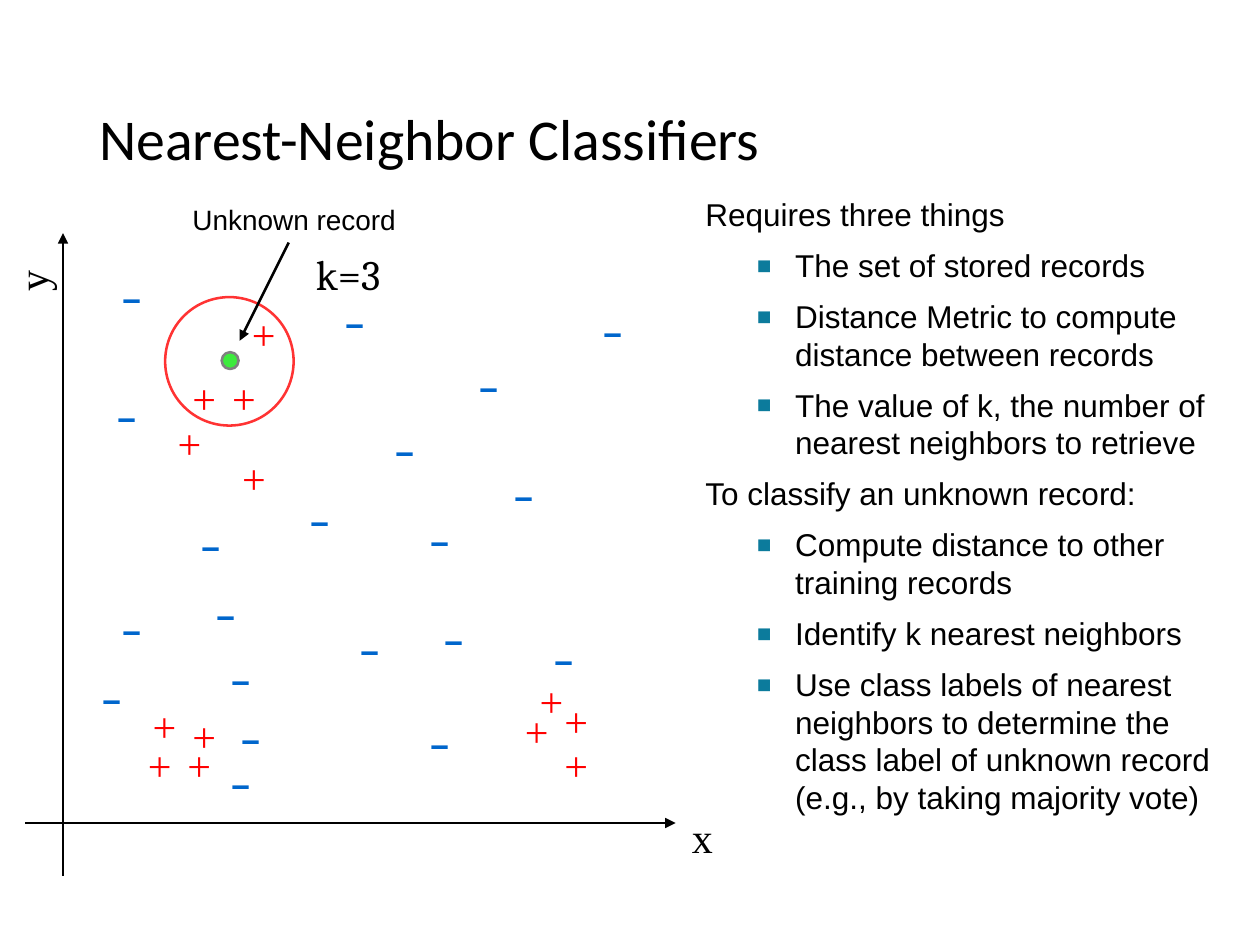
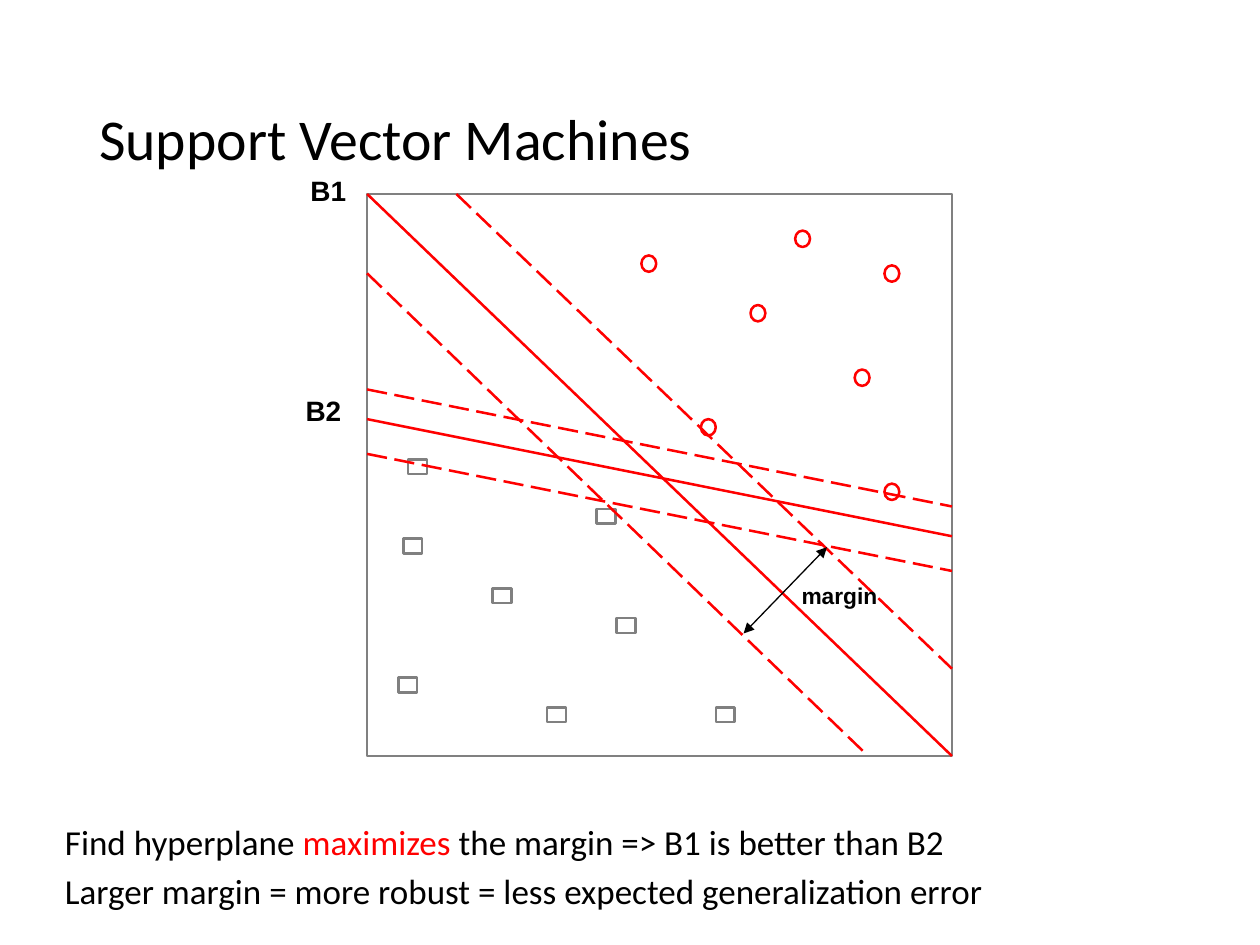
from lxml import etree
from pptx import Presentation
from pptx.dml.color import RGBColor
from pptx.enum.dml import MSO_LINE
from pptx.enum.shapes import MSO_CONNECTOR, MSO_SHAPE
from pptx.enum.text import MSO_ANCHOR
from pptx.oxml.ns import qn
from pptx.util import Cm, Pt

COLORS = {
    "black": "000000",
    "red": "FF0000",
    "neighborhood": "FF3333",
    "blue": "0066CC",
    "green": "3DEB3D",
    "gray": "808080",
    "bullet": "0C7B9C",
}
RGB = {name: RGBColor.from_string(value) for name, value in COLORS.items()}
THIN, NORMAL = 0.75, 1.45

TITLE = {"name": "Calibri", "size": Pt(33)}
BODY = {"name": "Arial", "size": Pt(18)}
CAPTION = {"name": "Arial", "size": Pt(16)}
AXIS = {"name": "Times New Roman", "size": Pt(24)}
MINUS = {"name": "Cabin", "size": Pt(24)}
FORMULA = {"name": "Cambria", "size": Pt(24)}
SUMMARY = {"name": "Calibri", "size": Pt(20)}
BOUNDARY = {"name": "Arial", "size": Pt(16), "bold": True}
MARGIN = {"name": "Arial", "size": Pt(13), "bold": True}


def add_text(slide, box, paragraphs, font, spacing=None, wrap=True):
    shape = slide.shapes.add_textbox(*[Cm(length) for length in box])
    frame = shape.text_frame
    frame.word_wrap = wrap
    for index, runs in enumerate(paragraphs):
        paragraph = frame.paragraphs[0] if index == 0 else frame.add_paragraph()
        for name, value in (spacing or {}).items():
            setattr(paragraph, name, value)
        for text, color in runs:
            run = paragraph.add_run()
            run.text = text
            run.font.color.rgb = RGB[color]
            for name, value in font.items():
                setattr(run.font, name, value)
    return shape


def add_line(slide, ends, color="black", width=NORMAL, dash=None, arrows=()):
    connector = slide.shapes.add_connector(
        MSO_CONNECTOR.STRAIGHT, *[Cm(length) for length in ends])
    connector.line.color.rgb = RGB[color]
    connector.line.width = Pt(width)
    if dash:
        connector.line.dash_style = dash
    properties = connector._element.spPr
    for end in arrows:
        etree.SubElement(properties.find(qn("a:ln")), qn("a:" + end), type="triangle")
    etree.SubElement(properties, qn("a:effectLst"))


presentation = Presentation()
presentation.slide_width, presentation.slide_height = Cm(25.4), Cm(19.05)
slides = []
for title in ("Nearest-Neighbor Classifiers", "Support Vector Machines"):
    slide = presentation.slides.add_slide(presentation.slide_layouts[6])
    shape = add_text(slide, (1.75, 1.02, 21.89, 3.68), [[(title, "black")]],
                     TITLE, {"line_spacing": 0.9})
    shape.text_frame.vertical_anchor = MSO_ANCHOR.MIDDLE
    slides.append(slide)
neighbor_slide, vector_slide = slides

square_points = [(8.23, 9.26), (8.13, 10.86), (9.93, 11.86), (8.03, 13.66),
                 (11.03, 14.26), (12.03, 10.26), (12.43, 12.46), (14.43, 14.26)]
circle_points = [(12.93, 5.15), (15.13, 6.15), (14.13, 8.45), (16.03, 4.65),
                 (17.83, 5.35), (17.23, 7.45), (17.83, 9.75)]
scatter = vector_slide.shapes.add_group_shape()
outlines = [
    (neighbor_slide, MSO_SHAPE.OVAL, (3.33, 5.99, 2.59, 2.59), "neighborhood", None),
    (neighbor_slide, MSO_SHAPE.OVAL, (4.47, 7.1, 0.34, 0.34), "gray", "green"),
    (scatter, MSO_SHAPE.RECTANGLE, (7.4, 3.91, 11.79, 11.33), "gray", None),
]
outlines += [(scatter, MSO_SHAPE.RECTANGLE, (*point, 0.38, 0.3), "gray", None)
             for point in square_points]
outlines += [(scatter, MSO_SHAPE.OVAL, (*point, 0.3, 0.33), "red", None)
             for point in circle_points]
for parent, geometry, box, line_color, fill_color in outlines:
    shape = parent.shapes.add_shape(geometry, *[Cm(length) for length in box])
    shape.shadow.inherit = False
    shape.line.color.rgb = RGB[line_color]
    shape.line.width = Pt(NORMAL)
    if fill_color:
        shape.fill.solid()
        shape.fill.fore_color.rgb = RGB[fill_color]
    else:
        shape.fill.background()

steps = [
    (0, "Requires three things"),
    (1, "The set of stored records"),
    (1, "Distance Metric to compute distance between records"),
    (1, "The value of k, the number of nearest neighbors to retrieve"),
    (0, "To classify an unknown record:"),
    (1, "Compute distance to other training records"),
    (1, "Identify k nearest neighbors"),
    (1, "Use class labels of nearest neighbors to determine the class label "
        "of unknown record (e.g., by taking majority vote)"),
]
shape = add_text(neighbor_slide, (13.97, 3.81, 11, 13.97),
                 [[(text, "black")] for level, text in steps], BODY,
                 {"space_before": Pt(3.5), "space_after": Pt(4)})
for (level, text), paragraph in zip(steps, shape.text_frame.paragraphs):
    if level:
        paragraph.level = level
        properties = paragraph._p.get_or_add_pPr()
        properties.set("marL", str(Cm(1.81)))
        properties.set("indent", str(Cm(-0.79)))
        bullet_color = etree.SubElement(properties, qn("a:buClr"))
        etree.SubElement(bullet_color, qn("a:srgbClr"), val=COLORS["bullet"])
        etree.SubElement(properties, qn("a:buSzPct"), val="150000")
        etree.SubElement(properties, qn("a:buFont"), typeface="Arial")
        etree.SubElement(properties, qn("a:buChar"), char="▪")

for text, left, top, rotation in (("x", 13.7, 16.23, 0), ("y", 0.18, 5.03, 270)):
    shape = add_text(neighbor_slide, (left, top, 0.91, 1.27), [[(text, "black")]],
                     AXIS, wrap=False)
    shape.rotation = rotation

plus_points = [(3.63, 7.39), (4.83, 6.1), (4.43, 7.39), (2.83, 13.99), (3.63, 14.19),
               (2.73, 14.79), (3.53, 14.79), (10.63, 13.49), (10.33, 14.09),
               (11.13, 13.89), (3.33, 8.29), (4.63, 8.99), (11.13, 14.79)]
minus_points = [(7.7, 8.43), (10.1, 9.34), (6.7, 5.85), (9.4, 7.14), (7, 12.44),
                (10.9, 12.65), (8.7, 12.24), (8.4, 14.34), (1.8, 13.43),
                (2.2, 12.04), (3.8, 10.34), (4.1, 11.74), (4.4, 15.14),
                (4.6, 14.24), (4.4, 13.04), (2.2, 5.34), (11.9, 6.04),
                (6, 9.85), (8.4, 10.24), (2.1, 7.75)]
for sign, color, font, points in (("+", "red", AXIS, plus_points),
                                  ("–", "blue", MINUS, minus_points)):
    for point in points:
        add_text(neighbor_slide, (*point, 1.24, 1.27), [[(sign, color)]], font)

x_axis, y_axis = (0.51, 16.59, 13.62, 16.59), (1.27, 17.65, 1.27, 4.7)
unknown_pointer = (5.82, 4.89, 4.83, 6.87)
for ends in (x_axis, y_axis, unknown_pointer):
    add_line(neighbor_slide, ends, arrows=["tailEnd"])
add_text(neighbor_slide, (3.63, 3.96, 5.05, 0.91), [[("Unknown record", "black")]], CAPTION)
add_text(neighbor_slide, (6.12, 4.89, 1.83, 1.27), [[("k=3", "black")]], FORMULA, wrap=False)

add_text(vector_slide, (1.06, 16.51, 23.7, 2.08), [
    [("Find hyperplane ", "black"), ("maximizes", "red"),
     (" the margin => B1 is better than B2", "black")],
    [("Larger margin = more robust = less expected generalization error", "black")],
], SUMMARY, {"line_spacing": 0.9, "space_before": Pt(2.5), "space_after": Pt(4)})

hyperplanes = [(7.4, 3.91, 19.19, 15.24), (7.4, 8.45, 19.19, 10.81)]
margin_lines = [(9.2, 3.91, 19.19, 13.48), (7.4, 5.51, 17.5, 15.24),
                (7.4, 7.85, 19.19, 10.21), (7.4, 9.15, 19.19, 11.51)]
for dash, lines in ((None, hyperplanes), (MSO_LINE.LONG_DASH, margin_lines)):
    for ends in lines:
        add_line(vector_slide, ends, "red", dash=dash)
add_line(vector_slide, (14.99, 12.77, 16.67, 11.03), width=THIN,
         arrows=["headEnd", "tailEnd"])

for text, box, font in (("B1", (6.01, 3.38, 1.22, 0.91), BOUNDARY),
                        ("B2", (5.91, 7.81, 1.22, 0.91), BOUNDARY),
                        ("margin", (15.91, 11.61, 2.03, 0.81), MARGIN)):
    add_text(vector_slide, box, [[(text, "black")]], font, wrap=False)

presentation.save("out.pptx")
